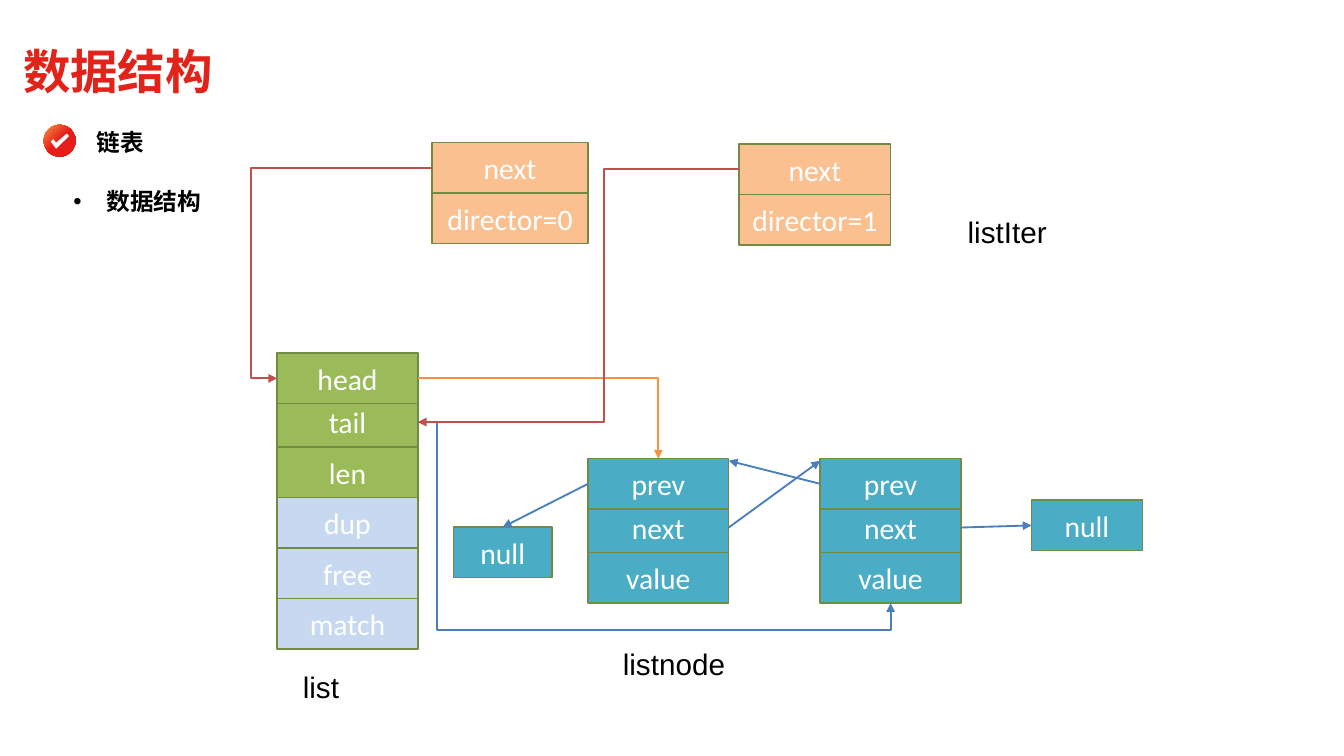
"""Builds a slide showing a linked list with its iterators, list header and nodes."""
from dataclasses import dataclass

import lxml.etree
import pptx
import pptx.dml.color
import pptx.enum.dml
import pptx.enum.shapes
import pptx.enum.text
import pptx.oxml.ns
import pptx.util

Cm = pptx.util.Cm
Pt = pptx.util.Pt
qn = pptx.oxml.ns.qn
TOP, LEFT, BOTTOM, RIGHT = range(4)


@dataclass
class Theme:
    red: str = "E2231A"
    ink: str = "000000"
    white: str = "FFFFFF"
    green: str = "9BBB59"
    pale: str = "C6D9F1"
    teal: str = "4BACC6"
    peach: str = "FAC090"
    border: str = "738A42"
    blue_wire: str = "4B7EBC"
    orange_wire: str = "F69240"
    red_wire: str = "C0504D"
    badge_light: str = "F79646"
    badge_dark: str = "E61D1A"
    cjk: str = "Noto Sans CJK SC"
    cell_font: str = "Calibri"
    label_font: str = "Arial"
    title_size: int = 32
    list_size: int = 16
    cell_size: int = 20


def rgb(value):
    return pptx.dml.color.RGBColor.from_string(value)


class Deck:
    def __init__(self, theme):
        self.theme = theme
        self.prs = pptx.Presentation()
        self.prs.slide_width, self.prs.slide_height = Cm(32), Cm(18)
        self.s = self.prs.slides.add_slide(self.prs.slide_layouts[1])

    def put_text(self, sp, text, font, size, color, bold=False, inset=(0.25, 0.13),
                 wrap=False, anchor="TOP", align="LEFT"):
        tf = sp.text_frame
        tf.auto_size = pptx.enum.text.MSO_AUTO_SIZE.NONE
        tf.word_wrap = wrap
        tf.vertical_anchor = pptx.enum.text.MSO_ANCHOR[anchor]
        tf.margin_left = tf.margin_right = Cm(inset[0])
        tf.margin_top = tf.margin_bottom = Cm(inset[1])
        p = tf.paragraphs[0]
        p.alignment = pptx.enum.text.PP_ALIGN[align]
        p.space_before = Pt(0)
        r = p.add_run()
        r.text = text
        r.font.name, r.font.size, r.font.bold = font, Pt(size), bold
        r.font.color.rgb = rgb(color)
        lxml.etree.SubElement(r._r.get_or_add_rPr(), qn("a:ea"), typeface=font)
        return p

    def place(self, sp, x, y, w, h):
        sp.left, sp.top, sp.width, sp.height = Cm(x), Cm(y), Cm(w), Cm(h)

    def title(self, text, *box):
        t = self.theme
        sp = self.s.shapes.title
        self.place(sp, *box)
        self.put_text(sp, text, t.cjk, t.title_size, t.red, bold=True, anchor="MIDDLE")

    def bullet(self, text, *box):
        t = self.theme
        sp = self.s.placeholders[1]
        self.place(sp, *box)
        p = self.put_text(sp, text, t.cjk, t.list_size, t.ink, bold=True)
        pPr = p._p.get_or_add_pPr()
        pPr.set("marL", str(Cm(0.79)))
        pPr.set("indent", str(-Cm(0.79)))
        lxml.etree.SubElement(pPr, qn("a:buFont"), typeface=t.label_font)
        lxml.etree.SubElement(pPr, qn("a:buChar"), char="•")

    def heading(self, text, x, y, w, h):
        t = self.theme
        sp = self.s.shapes.add_textbox(Cm(x), Cm(y), Cm(w), Cm(h))
        self.put_text(sp, text, t.cjk, t.list_size, t.ink, bold=True, inset=(0.51, 0.25))

    def label(self, text, x, y):
        t = self.theme
        sp = self.s.shapes.add_textbox(Cm(x), Cm(y), Cm(4.22), Cm(1.47))
        self.put_text(sp, text, t.label_font, t.cell_size, t.ink, inset=(0.61, 0.3), wrap=True)

    def badge(self, x, y, size):
        t = self.theme
        sp = self.s.shapes.add_shape(
            pptx.enum.shapes.MSO_SHAPE.OVAL, Cm(x), Cm(y), Cm(size), Cm(size))
        sp.shadow.inherit = False
        sp.line.fill.background()
        sp.fill.gradient()
        sp.fill.gradient_angle = 315
        first, last = sp.fill.gradient_stops
        first.color.rgb, last.color.rgb = rgb(t.badge_light), rgb(t.badge_dark)
        first.position, last.position = 0, 0.5
        tick = [(0.39, 0.75), (0.22, 0.53), (0.3, 0.45), (0.39, 0.56), (0.72, 0.28), (0.8, 0.35)]
        points = [(Cm(x + u * size), Cm(y + v * size)) for u, v in tick]
        fb = self.s.shapes.build_freeform(*points[0])
        fb.add_line_segments(points[1:], close=True)
        mark = fb.convert_to_shape()
        mark.shadow.inherit = False
        mark.fill.solid()
        mark.fill.fore_color.rgb = rgb(t.white)
        mark.line.fill.background()

    def cell(self, text, fill, x, y, w):
        t = self.theme
        sp = self.s.shapes.add_shape(
            pptx.enum.shapes.MSO_SHAPE.RECTANGLE, Cm(x), Cm(y), Cm(w), Cm(1.2))
        sp.shadow.inherit = False
        sp.fill.solid()
        sp.fill.fore_color.rgb = rgb(fill)
        sp.line.color.rgb = rgb(t.border)
        sp.line.width = Pt(1)
        self.put_text(sp, text, t.cell_font, t.cell_size, t.white,
                      anchor="MIDDLE", align="CENTER")
        return sp

    def stack(self, rows, x, y, w, first_step=1.04):
        tops = [y] + [y + first_step + 1.2 * i for i in range(len(rows) - 1)]
        cells = [self.cell(text, fill, x, top, w)
                 for (text, fill), top in reversed(list(zip(rows, tops)))]
        return cells[::-1]

    def wire(self, src, side, dst, dst_side, color, geometry=None, adjust=()):
        kind = pptx.enum.shapes.MSO_CONNECTOR
        corner_x = dst.left if side == RIGHT else dst.left + dst.width
        cxn = self.s.shapes.add_connector(
            kind.ELBOW if geometry else kind.STRAIGHT, 0, 0, corner_x, dst.top + Cm(0.05))
        cxn.begin_connect(src, side)
        if dst_side is not None:
            cxn.end_connect(dst, dst_side)
        cxn.line.color.rgb = rgb(color)
        cxn.line.width = Pt(1.25)
        spPr = cxn.element.spPr
        lxml.etree.SubElement(spPr.find(qn("a:ln")), qn("a:tailEnd"), type="triangle")
        lxml.etree.SubElement(spPr, qn("a:effectLst"))
        if geometry:
            geom = spPr.find(qn("a:prstGeom"))
            geom.set("prst", geometry)
            guides = geom.find(qn("a:avLst"))
            for i, value in enumerate(adjust, 1):
                lxml.etree.SubElement(guides, qn("a:gd"), name=f"adj{i}",
                                      fmla=f"val {round(value * 100000)}")


def main():
    t = Theme()
    deck = Deck(t)
    deck.title("数据结构", 0.3, 0.79, 7.01, 1.8)
    deck.badge(1.04, 2.97, 0.76)
    deck.heading("链表", 1.8, 2.79, 2.16, 1.19)
    deck.bullet("数据结构", 1.5, 4.32, 3.61, 0.94)

    header = [(n, t.green) for n in ("head", "tail", "len")]
    header += [(n, t.pale) for n in ("dup", "free", "match")]
    head, tail = deck.stack(header, 6.6, 8.41, 3.35)[:2]

    fields = [(n, t.teal) for n in ("prev", "next", "value")]
    (prev1, next1, _), (prev2, next2, value2) = [
        deck.stack(fields, x, 10.92, 3.35) for x in (14, 19.53)]
    null_left = deck.cell("null", t.teal, 10.8, 12.55, 2.34)
    null_right = deck.cell("null", t.teal, 24.56, 11.91, 2.64)
    iter0, iter1 = [
        deck.stack([("next", t.peach), (f"director={i}", t.peach)], x, y, w, 1.2)[0]
        for i, (x, y, w) in enumerate([(10.29, 3.4, 3.71), (17.6, 3.43, 3.61)])]

    deck.wire(next1, RIGHT, prev2, None, t.blue_wire)
    deck.wire(prev2, LEFT, prev1, None, t.blue_wire)
    deck.wire(next2, RIGHT, null_right, LEFT, t.blue_wire)
    deck.wire(prev1, LEFT, null_left, TOP, t.blue_wire)
    deck.wire(head, RIGHT, prev1, TOP, t.orange_wire, "bentConnector2")
    deck.wire(tail, RIGHT, value2, BOTTOM, t.blue_wire, "bentConnector4", (0.04, 1.15))
    deck.wire(iter0, LEFT, head, LEFT, t.red_wire, "bentConnector3", (1.17,))
    deck.wire(iter1, LEFT, tail, RIGHT, t.red_wire, "bentConnector3", (0.42,))

    for text, x, y in [("listIter", 22.43, 4.8), ("list", 6.6, 15.62),
                       ("listnode", 14.22, 15.09)]:
        deck.label(text, x, y)
    deck.prs.save("out.pptx")


if __name__ == "__main__":
    main()
